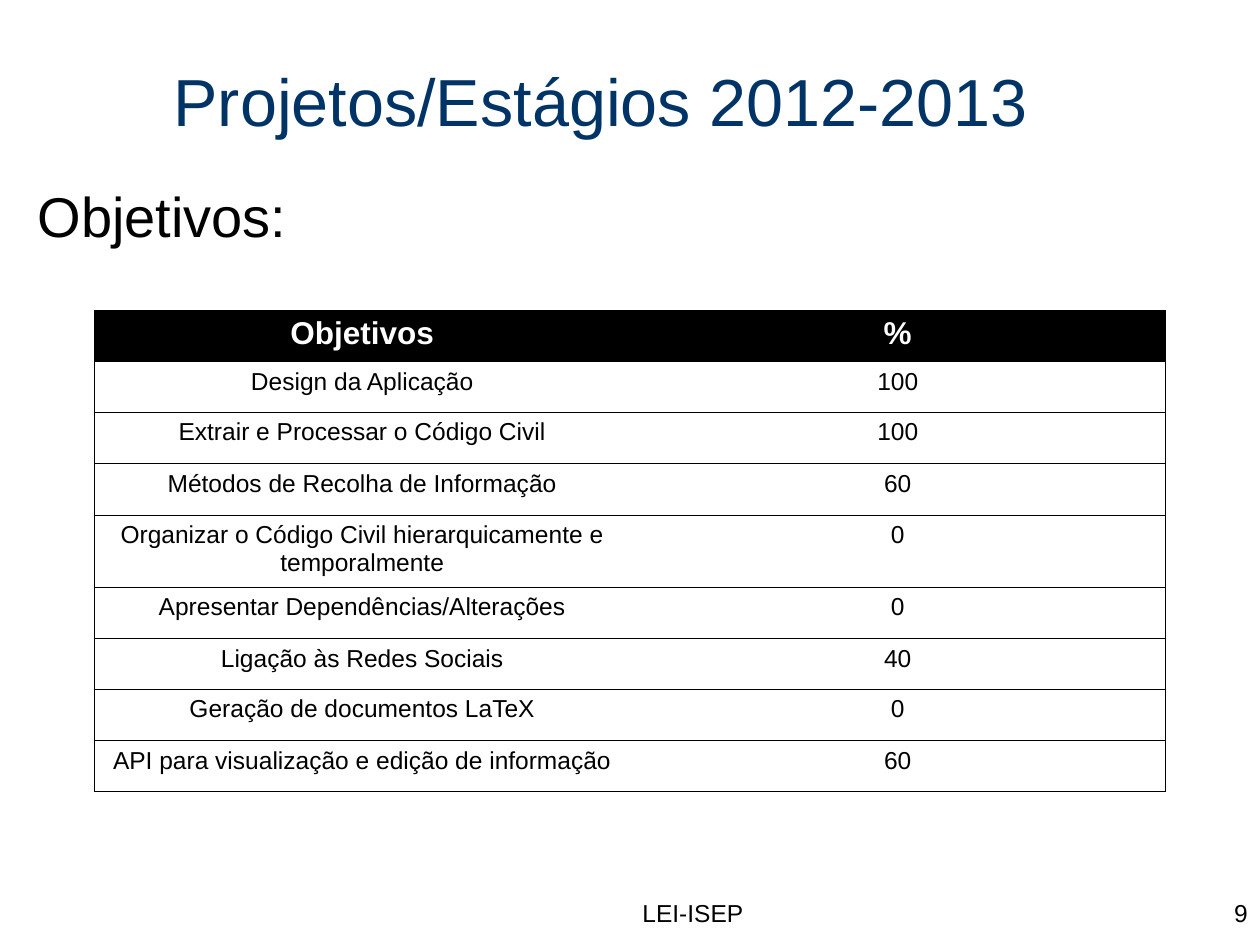
from dataclasses import dataclass

from lxml.etree import SubElement
from pptx import Presentation
from pptx.dml.color import RGBColor
from pptx.enum.text import MSO_ANCHOR, PP_ALIGN
from pptx.oxml.ns import qn
from pptx.util import Inches, Pt

FONT = "Arial"
COLORS = {"black": "000000", "white": "FFFFFF", "navy": "003366"}
BORDER_WIDTH = Pt(0.34)


@dataclass
class Label:
    text: str
    left: float
    top: float
    width: float
    height: float
    size: float
    color: str = "black"
    align: PP_ALIGN = PP_ALIGN.LEFT
    anchor: MSO_ANCHOR = MSO_ANCHOR.TOP
    space_before: float = 0


@dataclass
class Goal:
    name: str
    percent: int
    height: float = 0.41


LABELS = [
    Label("LEI-ISEP", 3.92, 7.08, 3.16, 0.33, 14,
          align=PP_ALIGN.CENTER, space_before=8.8),
    Label("9", 7.92, 7.08, 2.08, 0.33, 14,
          align=PP_ALIGN.RIGHT, space_before=8.8),
    Label("Projetos/Estágios 2012-2013", 1.28, 0.17, 8.5, 1.25, 38,
          color="navy", anchor=MSO_ANCHOR.MIDDLE),
    Label("Objetivos:", 0.2, 1.39, 9.59, 5.53, 32, space_before=8),
]

GOALS = [
    Goal("Design da Aplicação", 100, 0.4),
    Goal("Extrair e Processar o Código Civil", 100),
    Goal("Métodos de Recolha de Informação", 60),
    Goal("Organizar o Código Civil hierarquicamente e temporalmente", 0, 0.57),
    Goal("Apresentar Dependências/Alterações", 0),
    Goal("Ligação às Redes Sociais", 40, 0.4),
    Goal("Geração de documentos LaTeX", 0),
    Goal("API para visualização e edição de informação", 60, 0.4),
]


def write(p, text: str, size: float, color: str, align: PP_ALIGN, bold: bool = False) -> None:
    p.alignment = align
    r = p.add_run()
    r.text = text
    r.font.name = FONT
    r.font.size = Pt(size)
    r.font.bold = bold
    r.font.color.rgb = RGBColor.from_string(COLORS[color])


def add_label(slide, label: Label) -> None:
    box = slide.shapes.add_textbox(Inches(label.left), Inches(label.top),
                                   Inches(label.width), Inches(label.height))
    tf = box.text_frame
    tf.word_wrap = True
    tf.vertical_anchor = label.anchor
    p = tf.paragraphs[0]
    p.space_before = Pt(label.space_before)
    write(p, label.text, label.size, label.color, label.align)


def set_borders(cell, visible: set[str]) -> None:
    """Draw the named edges (L, R, T, B) in black and clear the others."""
    tc_pr = cell._tc.get_or_add_tcPr()
    for i, edge in enumerate("LRTB"):
        ln = SubElement(tc_pr, qn(f"a:ln{edge}"), w=str(BORDER_WIDTH))
        tc_pr.insert(i, ln)  # the schema wants borders ahead of the fill
        if edge in visible:
            fill = SubElement(ln, qn("a:solidFill"))
            SubElement(fill, qn("a:srgbClr"), val=COLORS["black"])
        else:
            SubElement(ln, qn("a:noFill"))


def fill_cell(cell, text: str, outer_edge: str, header: bool) -> None:
    if header:
        cell.fill.solid()
        cell.fill.fore_color.rgb = RGBColor.from_string(COLORS["black"])
    else:
        cell.fill.background()
    set_borders(cell, {outer_edge, "T", "B"})
    cell.margin_left = cell.margin_right = Inches(0.1)
    cell.margin_top = cell.margin_bottom = Inches(0.05)
    write(cell.text_frame.paragraphs[0], text, 18 if header else 14,
          "white" if header else "black", PP_ALIGN.CENTER, bold=header)


def add_goal_table(slide, goals: list[Goal]) -> None:
    rows = [("Objetivos", "%")] + [(g.name, str(g.percent)) for g in goals]
    heights = [0.41] + [g.height for g in goals]
    table = slide.shapes.add_table(len(rows), 2, Inches(0.75), Inches(2.46),
                                   Inches(8.5), Inches(sum(heights))).table
    table.first_row = table.horz_banding = False
    for i, (texts, height) in enumerate(zip(rows, heights)):
        table.rows[i].height = Inches(height)
        for j, (text, outer_edge) in enumerate(zip(texts, "LR")):
            fill_cell(table.cell(i, j), text, outer_edge, header=i == 0)


def main() -> None:
    prs = Presentation()
    prs.slide_width, prs.slide_height = Inches(10), Inches(7.5)
    slide = prs.slides.add_slide(prs.slide_layouts[6])
    for label in LABELS:
        add_label(slide, label)
    add_goal_table(slide, GOALS)
    prs.save("out.pptx")


if __name__ == "__main__":
    main()
